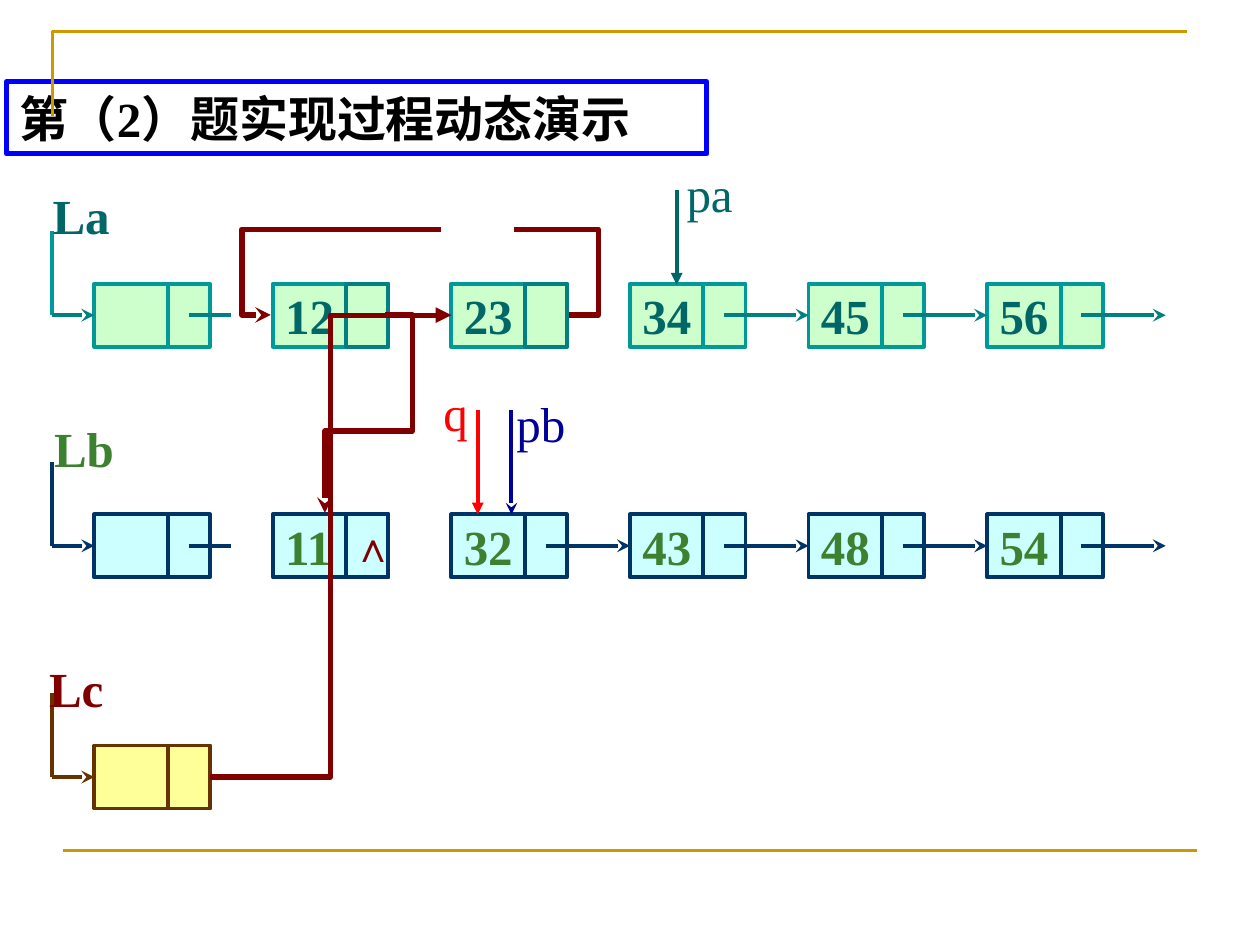
from lxml.etree import SubElement
from pptx import Presentation
from pptx.dml.color import RGBColor
from pptx.enum.shapes import MSO_CONNECTOR as Link, MSO_SHAPE as Shape
from pptx.enum.text import MSO_ANCHOR as Anchor, PP_ALIGN as Align
from pptx.oxml.ns import qn
from pptx.util import Cm, Pt

GOLD = RGBColor(0xCC, 0x99, 0x00)
BLUE = RGBColor(0x00, 0x00, 0xFF)
BLACK = RGBColor(0x00, 0x00, 0x00)
RED = RGBColor(0xFF, 0x00, 0x00)
NAVY = RGBColor(0x00, 0x00, 0x99)
MAROON = RGBColor(0x80, 0x00, 0x00)
TEAL = RGBColor(0x00, 0x99, 0x99)
DARK_TEAL = RGBColor(0x00, 0x80, 0x80)
DEEP_TEAL = RGBColor(0x00, 0x66, 0x66)
GREEN = RGBColor(0x3B, 0x81, 0x2F)
MINT = RGBColor(0xCC, 0xFF, 0xCC)
SKY = RGBColor(0xCC, 0xFF, 0xFF)
STEEL = RGBColor(0x00, 0x33, 0x66)
BROWN = RGBColor(0x66, 0x33, 0x00)
CREAM = RGBColor(0xFF, 0xFF, 0x99)

LATIN, CHINESE = "Times New Roman", "Noto Sans CJK SC"
NODE_W, NODE_H, PITCH = 2.33, 1.27, 3.6
DATA_W, STUB_X = 1.48, 1.9
NODES_X, ENTRY_W, HOOK_H = 1.9, 0.85, 1.69

LA = dict(name="La", label_at=(0.81, 3.61), values=["", "12", "23", "34", "45", "56"],
          fill=MINT, edge=TEAL, arrow=DARK_TEAL, hook=TEAL, ink=DEEP_TEAL,
          label_ink=DEEP_TEAL, cells={1: DARK_TEAL, 2: DARK_TEAL},
          stubs=[0], nexts=[3, 4, 5])
LB = dict(name="Lb", label_at=(0.84, 8.31), values=["", "11", "32", "43", "48", "54"],
          fill=SKY, edge=STEEL, arrow=STEEL, hook=STEEL, ink=GREEN,
          label_ink=GREEN, cells={1: STEEL}, stubs=[0], nexts=[2, 3, 4, 5])
LC = dict(name="Lc", label_at=(0.74, 13.16), values=[""],
          fill=CREAM, edge=BROWN, arrow=BROWN, hook=BROWN, ink=MAROON,
          label_ink=MAROON, cells={0: BROWN}, stubs=[], nexts=[])


def set_line(shape, color, width, head=None):
    shape.line.color.rgb = color
    shape.line.width = Pt(width)
    if head:
        SubElement(shape.line._get_or_add_ln(), qn("a:tailEnd"), type=head)


def write(paragraph, text, color, **values):
    run = paragraph.add_run()
    run.text = text
    for key, value in {"name": LATIN, "size": Pt(28), "bold": True, **values}.items():
        setattr(run.font, key, value)
    run.font.color.rgb = color
    return run


def add_line(slide, x1, y1, x2, y2, color, width, head=None, kind=Link.STRAIGHT):
    line = slide.shapes.add_connector(kind, Cm(x1), Cm(y1), Cm(x2), Cm(y2))
    set_line(line, color, width, head)
    SubElement(line._element.spPr, qn("a:effectLst"))
    return line


def add_route(slide, points, color, width, head=None):
    start, *rest = [(Cm(x), Cm(y)) for x, y in points]
    builder = slide.shapes.build_freeform(*start)
    builder.add_line_segments(rest, close=False)
    route = builder.convert_to_shape()
    route.fill.background()
    route.shadow.inherit = False
    set_line(route, color, width, head)


def add_rect(slide, x, y, w, h, fill, edge):
    rect = slide.shapes.add_shape(Shape.RECTANGLE, Cm(x), Cm(y), Cm(w), Cm(h))
    rect.shadow.inherit = False
    rect.fill.solid()
    rect.fill.fore_color.rgb = fill
    set_line(rect, edge, 2.25)
    return rect


def add_label(slide, x, y, text, color, **values):
    frame = slide.shapes.add_textbox(Cm(x), Cm(y), Cm(1.73), Cm(1.45)).text_frame
    frame.word_wrap = True
    write(frame.paragraphs[0], text, color, **values)


def add_node(slide, x, y, value, row, cell_edge):
    node = add_rect(slide, x, y, NODE_W, NODE_H, row["fill"], row["edge"])
    if value:
        frame = node.text_frame
        frame.vertical_anchor = Anchor.MIDDLE
        frame.paragraphs[0].alignment = Align.LEFT
        write(frame.paragraphs[0], value, row["ink"])
    divider = x + DATA_W
    if cell_edge is not None:
        add_rect(slide, divider, y, NODE_W - DATA_W, NODE_H, row["fill"], cell_edge)
    else:
        add_line(slide, divider, y, divider, y + NODE_H, row["edge"], 2.25)
    return node


def add_list(slide, top, row):
    middle = top + NODE_H / 2
    lefts = [NODES_X + i * PITCH for i in range(len(row["values"]))]
    nodes = [add_node(slide, x, top, value, row, row["cells"].get(i))
             for i, (x, value) in enumerate(zip(lefts, row["values"]))]
    hook_x = NODES_X - ENTRY_W
    add_line(slide, hook_x, middle - HOOK_H, hook_x, middle, row["hook"], 2.5)
    entry = add_line(slide, hook_x, middle, NODES_X, middle, row["arrow"], 2.5, "stealth")
    entry.end_connect(nodes[0], 1)
    for i in row["stubs"]:
        x = lefts[i] + STUB_X
        add_line(slide, x, middle, x + ENTRY_W, middle, row["arrow"], 2.5)
    for i in row["nexts"]:
        arrow = add_line(slide, lefts[i] + STUB_X, middle, lefts[i] + PITCH, middle,
                         row["arrow"], 2.5, "stealth")
        if i + 1 < len(nodes):
            arrow.end_connect(nodes[i + 1], 1)
    add_label(slide, *row["label_at"], row["name"], row["label_ink"])
    return nodes


def add_pointer(slide, x, top, bottom, name, label_at, color, head):
    add_line(slide, x, top, x, bottom, color, 2.25, head)
    add_label(slide, *label_at, name, color, bold=False)


def add_merge_links(slide, node_23, node_c):
    add_route(slide, [(7.77, 6.35), (8.31, 6.35), (8.31, 8.69), (6.55, 8.69), (6.55, 10.34)],
              MAROON, 3, "stealth")
    link = add_line(slide, 4.27, 15.67, 9.07, 6.35, MAROON, 3, "triangle", Link.ELBOW)
    link.begin_connect(node_c, 3)
    link.end_connect(node_23, 1)
    add_route(slide, [(11.48, 6.35), (12.06, 6.35), (12.06, 4.62), (10.36, 4.62)], MAROON, 3)
    add_route(slide, [(8.89, 4.62), (4.88, 4.62), (4.88, 6.35), (5.46, 6.35)],
              MAROON, 3, "stealth")


def add_frame(slide):
    add_route(slide, [(1.06, 2.33), (1.06, 0.64), (23.92, 0.64)], GOLD, 1.5)
    add_line(slide, 1.27, 17.15, 24.13, 17.15, GOLD, 1.5)


def add_title(slide, left, top, width, height):
    title = slide.shapes.title
    box = dict(left=left, top=top, width=width, height=height)
    for key, value in box.items():
        setattr(title, key, Cm(value))
    set_line(title, BLUE, 3)
    frame = title.text_frame
    frame.word_wrap = True
    frame.vertical_anchor = Anchor.MIDDLE
    paragraph = frame.paragraphs[0]
    paragraph.alignment = Align.LEFT
    for text, font in [("第", CHINESE), ("（2）", LATIN), ("题实现过程动态演示", CHINESE)]:
        run = write(paragraph, text, BLACK, name=font)
        SubElement(run.font._element, qn("a:ea"), typeface=CHINESE)


def main():
    deck = Presentation()
    deck.slide_width, deck.slide_height = Cm(25.4), Cm(19.05)
    slide = deck.slides.add_slide(deck.slide_layouts[5])
    add_frame(slide)
    add_title(slide, 0.13, 1.65, 14.12, 1.45)
    nodes_a = add_list(slide, 5.72, LA)
    add_list(slide, 10.37, LB)
    nodes_c = add_list(slide, 15.03, LC)
    add_label(slide, 6.86, 10.37, "∧", MAROON, size=Pt(24))
    add_merge_links(slide, nodes_a[2], nodes_c[0])
    add_pointer(slide, 13.64, 3.84, 5.74, "pa", (13.59, 3.18), DEEP_TEAL, "triangle")
    add_pointer(slide, 9.63, 8.26, 10.37, "q", (8.69, 7.59), RED, "triangle")
    add_pointer(slide, 10.31, 8.26, 10.37, "pb", (10.16, 7.8), NAVY, "stealth")
    deck.save("out.pptx")


if __name__ == "__main__":
    main()
